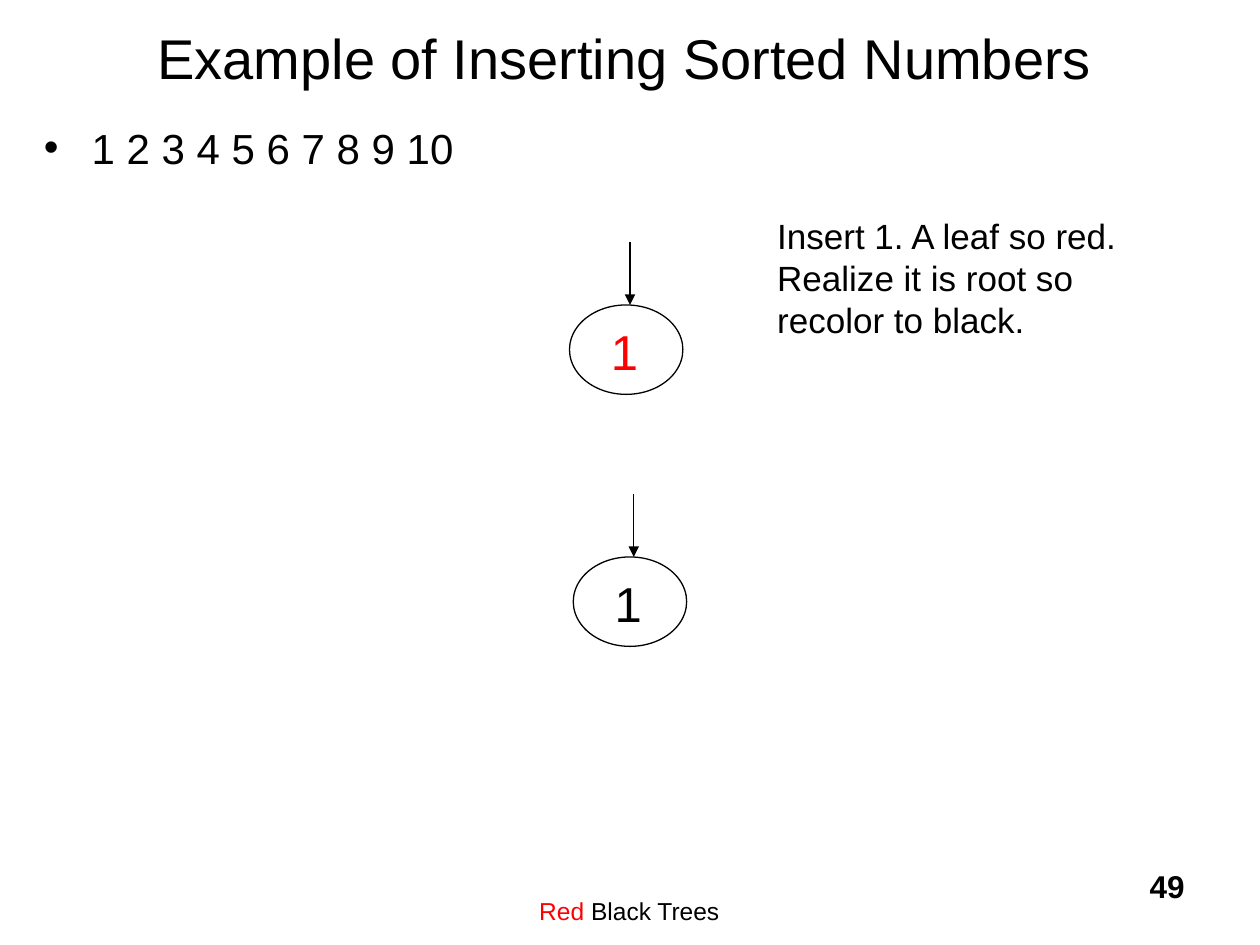
from lxml import etree
from pptx import Presentation
from pptx.dml.color import RGBColor
from pptx.enum.shapes import MSO_CONNECTOR, MSO_SHAPE
from pptx.enum.text import MSO_ANCHOR, PP_ALIGN
from pptx.oxml.ns import qn
from pptx.util import Inches, Pt

LEFT, CENTER, RIGHT = PP_ALIGN.LEFT, PP_ALIGN.CENTER, PP_ALIGN.RIGHT
TOP, MIDDLE = MSO_ANCHOR.TOP, MSO_ANCHOR.MIDDLE
ELLIPSE, STRAIGHT = MSO_SHAPE.OVAL, MSO_CONNECTOR.STRAIGHT

FONT = "Arial"
COLORS = {"black": "000000", "red": "FF0000", "white": "FFFFFF"}
TITLE = "Example of Inserting Sorted Numbers"
NUMBERS = "1 2 3 4 5 6 7 8 9 10"
NOTE = "Insert 1. A leaf so red. Realize it is root so recolor to black."
FOOTER = [("Red", "red"), (" Black Trees", "black")]
PAGE = "49"
NODES = [("1", "red", 4.52, 2.42), ("1", "black", 4.55, 4.42)]
NODE_W, NODE_H = 0.9, 0.71
ARROW_DX, ARROW_LEN = 0.48, 0.5


def rgb(name):
    return RGBColor.from_string(COLORS[name])


def add_text(shapes, box, runs, size, align=LEFT, anchor=TOP, bold=False, wrap=True):
    """Add a text box holding one paragraph of (text, colour) runs."""
    s = shapes.add_textbox(*map(Inches, box))
    tf = s.text_frame
    tf.word_wrap = wrap
    tf.vertical_anchor = anchor
    p = tf.paragraphs[0]
    p.alignment = align
    for text, color in runs:
        r = p.add_run()
        r.text = text
        r.font.name = FONT
        r.font.size = Pt(size)
        r.font.bold = bold
        r.font.color.rgb = rgb(color)
    return s


def add_bullet(p, indent):
    pPr = p._p.get_or_add_pPr()
    pPr.set("marL", str(Inches(indent)))
    pPr.set("indent", str(-Inches(indent)))
    etree.SubElement(pPr, qn("a:buFont")).set("typeface", FONT)
    etree.SubElement(pPr, qn("a:buChar")).set("char", "•")


def add_node(shapes, label, color, x, y):
    group = shapes.add_group_shape()
    s = group.shapes.add_shape(ELLIPSE, *map(Inches, (x, y, NODE_W, NODE_H)))
    s.shadow.inherit = False
    s.fill.background()
    s.line.color.rgb = rgb("black")
    s.line.width = Pt(0.75)
    add_text(group.shapes, (x + 0.23, y + 0.08, 0.42, 0.57), [(label, color)], 28, wrap=False)


def add_arrow(shapes, x, y, length):
    s = shapes.add_connector(STRAIGHT, *map(Inches, (x, y - length, x, y)))
    s.line.color.rgb = rgb("black")
    s.line.width = Pt(0.75)
    etree.SubElement(s.line._get_or_add_ln(), qn("a:tailEnd")).set("type", "triangle")
    etree.SubElement(s._element.spPr, qn("a:effectLst"))


def main():
    prs = Presentation()
    prs.slide_width, prs.slide_height = Inches(10), Inches(7.5)
    slide = prs.slides.add_slide(prs.slide_layouts[6])
    slide.background.fill.solid()
    slide.background.fill.fore_color.rgb = rgb("white")
    shapes = slide.shapes

    footer = add_text(shapes, (3.08, 6.83, 3.83, 0.5), FOOTER, 14, CENTER)
    footer.text_frame.margin_top = Inches(0.28)
    add_text(shapes, (7.42, 6.83, 2.08, 0.5), [(PAGE, "black")], 18, RIGHT, bold=True)
    add_text(shapes, (0.17, -0.17, 9.58, 1.25), [(TITLE, "black")], 32, CENTER, MIDDLE)
    body = add_text(shapes, (0.25, 0.92, 9.5, 6), [(NUMBERS, "black")], 24)
    add_bullet(body.text_frame.paragraphs[0], 0.38)
    add_text(shapes, (6.07, 1.65, 3.27, 1.11), [(NOTE, "black")], 20)

    for label, color, x, y in NODES:
        add_node(shapes, label, color, x, y)
        add_arrow(shapes, x + ARROW_DX, y, ARROW_LEN)

    prs.save("out.pptx")


if __name__ == "__main__":
    main()
